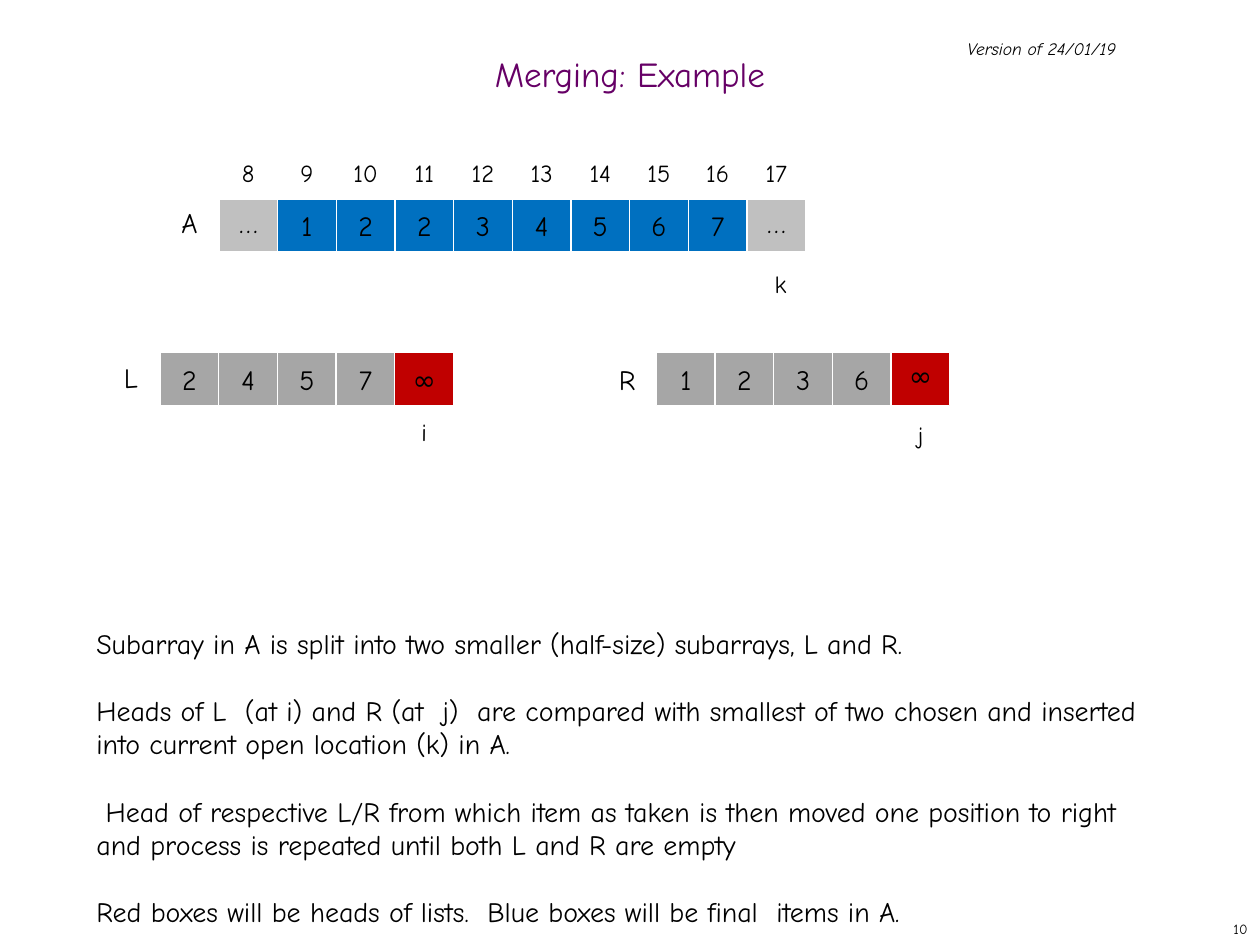
"""Build a slide that shows the last step of merging two sorted subarrays."""
from pptx import Presentation
from pptx.dml.color import RGBColor
from pptx.enum.shapes import MSO_SHAPE
from pptx.enum.text import MSO_ANCHOR, PP_ALIGN
from pptx.util import Pt

RECTANGLE = MSO_SHAPE.RECTANGLE
TOP, MIDDLE = MSO_ANCHOR.TOP, MSO_ANCHOR.MIDDLE
LEFT, CENTER, RIGHT = PP_ALIGN.LEFT, PP_ALIGN.CENTER, PP_ALIGN.RIGHT

FONT = "Comic Neue"
COLORS = {
    "text": "000000",
    "title": "660066",
    "border": "FFFFFF",
    "merged": "0070C0",
    "outside": "C0C0C0",
    "waiting": "A6A6A6",
    "head": "C00000",
}
CELL_WIDTH, CELL_HEIGHT = 33.53, 30.25
A_LEFT, A_TOP = 125.1, 113.75
L_LEFT, R_LEFT, HALVES_TOP = 91.5, 375.1, 201.6
EXPLANATION = [
    "Subarray in A is split into two smaller (half-size) subarrays, L and R.",
    "Heads of L  (at i) and R (at  j)  are compared with smallest of two chosen "
    "and inserted into current open location (k) in A.",
    " Head of respective L/R from which item as taken is then moved one position "
    "to right and process is repeated until both L and R are empty",
    "Red boxes will be heads of lists.  Blue boxes will be final  items in A.",
]


def color(name):
    return RGBColor.from_string(COLORS[name])


def write(shape, *paragraphs, size=16, ink="text", align=CENTER, anchor=MIDDLE,
          wrap=False, italic=False, gap=0, line_spacing=None):
    """Fill a shape with formatted paragraphs, separated by gap points."""
    frame = shape.text_frame
    frame.word_wrap = wrap
    frame.vertical_anchor = anchor
    frame.text = "\n".join(paragraphs)
    for number, paragraph in enumerate(frame.paragraphs):
        paragraph.alignment = align
        paragraph.space_before = Pt(gap if number else 0)
        paragraph.line_spacing = line_spacing
        for run in paragraph.runs:
            run.font.name = FONT
            run.font.size = Pt(size)
            run.font.italic = italic
            run.font.color.rgb = color(ink)


def place_title(slide, text):
    """Move and format the title placeholder."""
    title = slide.shapes.title
    title.left, title.top, title.width, title.height = Pt(0), Pt(27), Pt(720), Pt(36)
    write(title, text, size=20, ink="title", wrap=True, line_spacing=0.7)


def add_text(slide, left, top, width, height, *paragraphs, **style):
    """Add a text box."""
    box = slide.shapes.add_textbox(Pt(left), Pt(top), Pt(width), Pt(height))
    write(box, *paragraphs, **style)


def add_cell(slide, left, top, text, fill=None, width=CELL_WIDTH,
             height=CELL_HEIGHT, **style):
    """Add one white-bordered cell, or a bare label when there is no fill."""
    cell = slide.shapes.add_shape(RECTANGLE, Pt(left), Pt(top), Pt(width), Pt(height))
    cell.shadow.inherit = False
    if fill:
        cell.fill.solid()
        cell.fill.fore_color.rgb = color(fill)
    else:
        cell.fill.background()
    cell.line.color.rgb = color("border")
    cell.line.width = Pt(0.75)
    write(cell, text, **style)


def add_row(slide, left, top, values, fill=None, **style):
    """Add adjoining cells from left to right."""
    for column, value in enumerate(values):
        add_cell(slide, left + column * CELL_WIDTH, top, value, fill, **style)


def add_half(slide, left, name, values, name_top, end_anchor, pointer, pointer_top):
    """Add a named subarray whose head has reached the closing infinity."""
    end_left = left + len(values) * CELL_WIDTH
    add_cell(slide, left - CELL_WIDTH, name_top, name)
    add_row(slide, left, HALVES_TOP, values, "waiting")
    add_cell(slide, end_left, HALVES_TOP, "∞", "head", anchor=end_anchor)
    add_cell(slide, end_left, pointer_top, pointer, size=14)


def add_merged_array(slide):
    """Add array A with its indices, its items and the open location k."""
    items = "12234567"
    after_items = A_LEFT + (len(items) + 1) * CELL_WIDTH
    add_row(slide, A_LEFT, A_TOP - CELL_HEIGHT, [str(i) for i in range(8, 18)], size=14)
    add_cell(slide, A_LEFT - CELL_WIDTH, A_TOP, "A", anchor=TOP)
    add_row(slide, A_LEFT + CELL_WIDTH, A_TOP, items, "merged")
    for left in (A_LEFT, after_items):
        add_cell(slide, left, A_TOP, "…", "outside", anchor=TOP)
    add_cell(slide, 426.25, 144, "k", width=39.5, height=36, size=14)


def main():
    deck = Presentation()
    deck.slide_width, deck.slide_height = Pt(720), Pt(540)
    slide = deck.slides.add_slide(deck.slide_layouts[5])
    place_title(slide, "Merging: Example")
    add_text(slide, 545.75, 18, 156, 19.5, "Version of 24/01/19",
             size=10, align=LEFT, anchor=TOP, wrap=True, italic=True)
    add_merged_array(slide)
    add_half(slide, L_LEFT, "L", "2457", 200.25, MIDDLE, "i", 231.85)
    add_half(slide, R_LEFT, "R", "1236", HALVES_TOP, TOP, "j", 233.25)
    add_text(slide, 48, 354.25, 624, 181.5, *EXPLANATION,
             align=LEFT, anchor=TOP, wrap=True, gap=19.2)
    add_text(slide, 570.25, 522, 149.75, 18, "10", size=8, align=RIGHT)
    deck.save("out.pptx")


if __name__ == "__main__":
    main()
